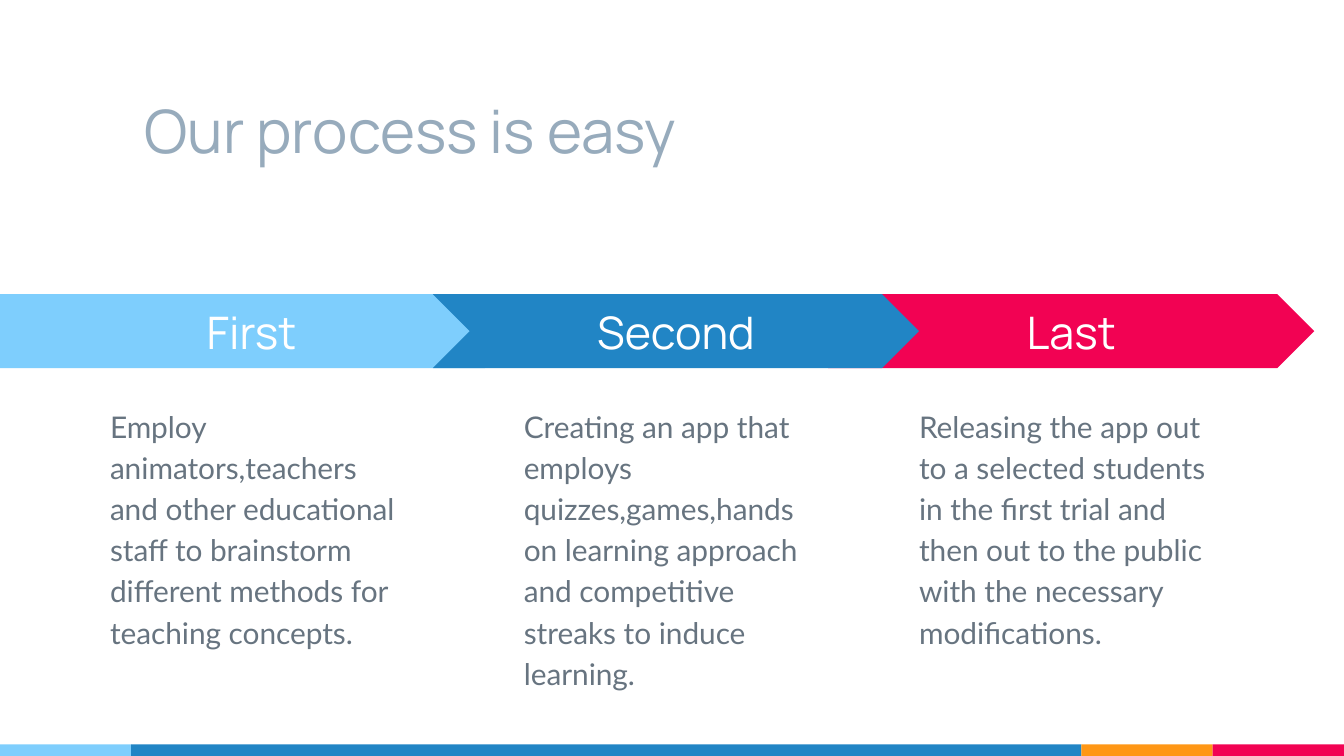
from dataclasses import dataclass

from pptx import Presentation
from pptx.dml.color import RGBColor
from pptx.enum.shapes import MSO_SHAPE as Kind
from pptx.enum.text import MSO_ANCHOR as Anchor, PP_ALIGN as Align
from pptx.shapes.autoshape import Shape
from pptx.util import Cm, Pt

SKY, BLUE, AMBER, RED = "7ECEFD", "2185C5", "FF9715", "F20253"
WHITE, SLATE, GREY = "FFFFFF", "97ABBC", "677480"
WIDE, HIGH = 25.4, 14.29
EDGE = 2.48  # width of the short footer stripes
FOOT = 14.07


@dataclass
class Box:
    left: float
    top: float
    width: float
    height: float

    def place(self) -> tuple:
        return Cm(self.left), Cm(self.top), Cm(self.width), Cm(self.height)


@dataclass
class Step:
    name: str
    note: str
    kind: Kind
    color: str
    left: float
    width: float
    inset: float  # left edge of the note


def tint(code: str) -> RGBColor:
    return RGBColor.from_string(code)


def block(slide, kind: Kind, box: Box, color: str) -> Shape:
    shape = slide.shapes.add_shape(kind, *box.place())
    shape.shadow.inherit = False
    shape.fill.solid()
    shape.fill.fore_color.rgb = tint(color)
    shape.line.fill.background()
    return shape


def write(shape: Shape, text: str, font: str, size: int, color: str,
          anchor: Anchor, align: Align = Align.LEFT, space: float = 1.0) -> None:
    frame = shape.text_frame
    frame.word_wrap = True
    frame.vertical_anchor = anchor
    frame.margin_left = frame.margin_right = Cm(0.25)
    frame.margin_top = frame.margin_bottom = Cm(0.25)
    frame.text = text
    for para in frame.paragraphs:
        para.alignment = align
        para.line_spacing = space
        for run in para.runs:
            run.font.name = font
            run.font.size = Pt(size)
            run.font.color.rgb = tint(color)


def draw_step(slide, step: Step) -> None:
    arrow = block(slide, step.kind, Box(step.left, 5.56, step.width, 1.4), step.color)
    arrow.adjustments[0] = 0.5
    write(arrow, step.name, "Manrope", 24, WHITE, Anchor.MIDDLE, Align.CENTER)
    note = slide.shapes.add_textbox(*Box(step.inset, 7.37, 6.22, 5.46).place())
    write(note, step.note, "Lato", 16, GREY, Anchor.TOP, space=1.15)


# Back to front: the middle arrow overlaps both neighbours
STEPS = [
    Step("Last", "Releasing the app out to a selected students in the first trial "
         "and then out to the public with the necessary modifications.",
         Kind.CHEVRON, RED, 15.65, 9.19, 17.12),
    Step("First", "Employ animators,teachers and other educational staff to "
         "brainstorm different methods for teaching concepts.",
         Kind.PENTAGON, SKY, 0, 9.86, 1.83),
    Step("Second", "Creating an app that employs quizzes,games,hands on learning "
         "approach and competitive streaks to induce learning.",
         Kind.CHEVRON, BLUE, 8.18, 9.19, 9.65),
]


def main() -> None:
    deck = Presentation()
    deck.slide_width, deck.slide_height = Cm(WIDE), Cm(HIGH)
    slide = deck.slides.add_slide(deck.slide_layouts[6])

    # Footer stripes
    left = 0.0
    body = WIDE - 3 * EDGE
    for color, width in [(SKY, EDGE), (BLUE, body), (AMBER, EDGE), (RED, EDGE)]:
        block(slide, Kind.RECTANGLE, Box(left, FOOT, width, HIGH - FOOT), color)
        left += width

    # Title
    title = slide.shapes.add_textbox(*Box(EDGE, 0.99, body, 2.39).place())
    write(title, "Our process is easy", "Manrope", 32, SLATE, Anchor.BOTTOM)

    # Process steps
    for step in STEPS:
        draw_step(slide, step)

    deck.save("out.pptx")


if __name__ == "__main__":
    main()
